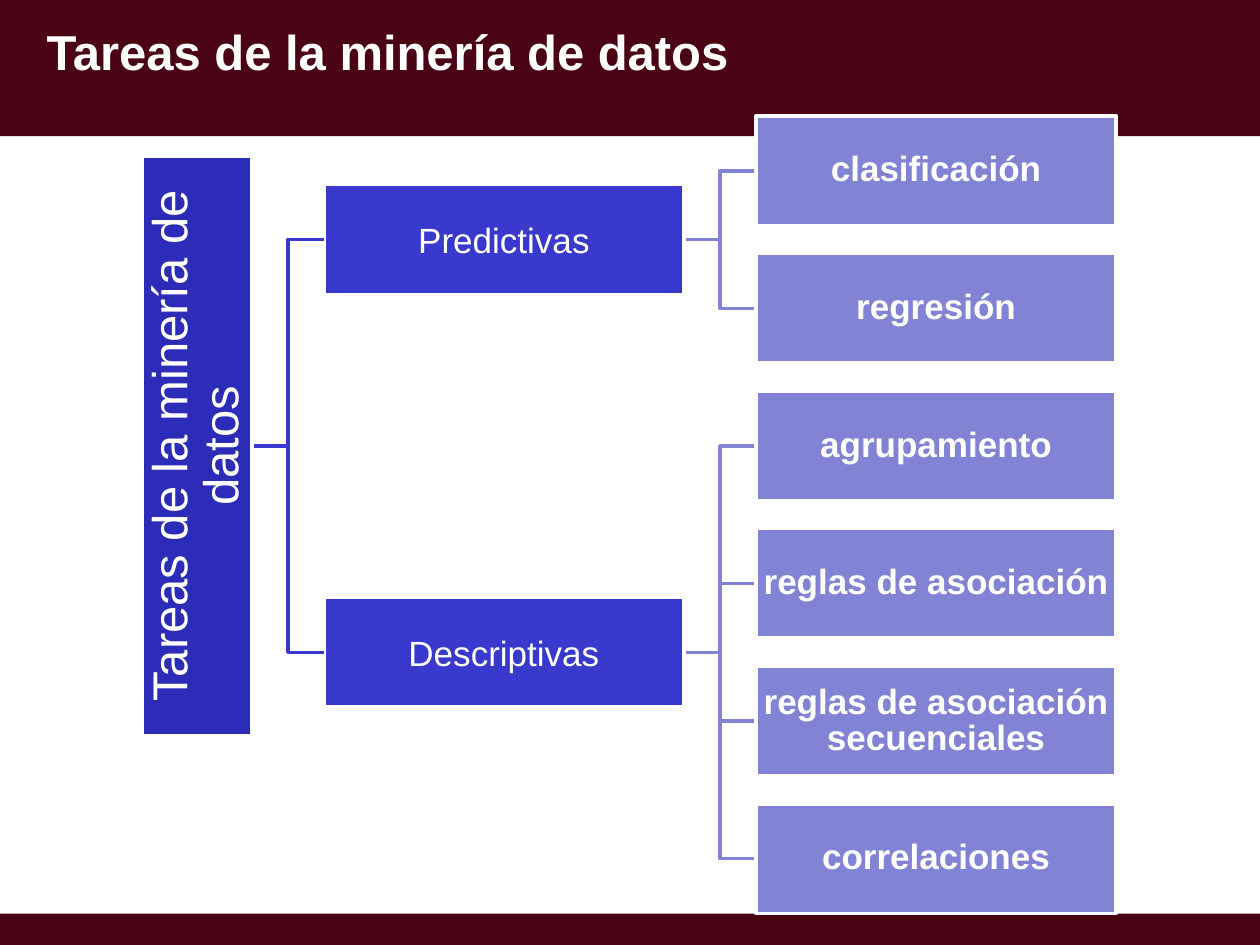
from dataclasses import dataclass

from pptx import Presentation
from pptx.dml.color import RGBColor
from pptx.enum import shapes, text
from pptx.util import Inches, Pt


@dataclass(frozen=True)
class Theme:
    font: str = "Arial"
    band: str = "4A0315"
    white: str = "FFFFFF"
    root: str = "2C2CB8"
    group: str = "3939CD"
    task: str = "8383D6"
    heading_size: int = 28
    label_size: int = 20
    line_width: int = 2


THEME = Theme()
TITLE = "Tareas de la minería de datos"
GROUPS = {
    "Predictivas": ["clasificación", "regresión"],
    "Descriptivas": [
        "agrupamiento",
        "reglas de asociación",
        "reglas de asociación secuenciales",
        "correlaciones",
    ],
}
BOX_HEIGHT, BOX_WIDTH, GAP = 0.87, 2.86, 0.57
ROOT_LENGTH = 4.6


def rgb(value):
    return RGBColor.from_string(value)


def write(frame, words, size, bold=False):
    frame.text = words
    frame.word_wrap = True
    frame.margin_left = frame.margin_right = 0
    frame.margin_top = frame.margin_bottom = 0
    font = frame.paragraphs[0].runs[0].font
    font.name, font.size, font.bold = THEME.font, Pt(size), bold
    font.color.rgb = rgb(THEME.white)


def add_header(slide, left, top, width, height):
    title = slide.shapes.title
    title.left, title.top = Inches(left), Inches(top)
    title.width, title.height = Inches(width), Inches(height)
    write(title.text_frame, TITLE, THEME.heading_size, bold=True)
    title.text_frame.vertical_anchor = text.MSO_ANCHOR.TOP
    title.text_frame.paragraphs[0].alignment = text.PP_ALIGN.LEFT


def add_rectangle(slide, left, top, width, height, color):
    rectangle = slide.shapes.add_shape(
        shapes.MSO_SHAPE.RECTANGLE,
        Inches(left), Inches(top), Inches(width), Inches(height))
    rectangle.shadow.inherit = False
    rectangle.fill.solid()
    rectangle.fill.fore_color.rgb = rgb(color)
    rectangle.line.fill.background()
    return rectangle


def add_band(slide, top, height):
    """Full-width band, kept behind the title."""
    band = add_rectangle(slide, 0, top, 10, height, THEME.band)
    slide.shapes._spTree.insert(2, band._element)


def add_node(slide, left, middle, width, height, color, words, size, bold=False):
    node = add_rectangle(slide, left, middle - height / 2, width, height, color)
    node.line.color.rgb = rgb(THEME.white)
    node.line.width = Pt(THEME.line_width)
    write(node.text_frame, words, size, bold)
    node.text_frame.vertical_anchor = text.MSO_ANCHOR.MIDDLE
    node.text_frame.paragraphs[0].alignment = text.PP_ALIGN.CENTER
    return node


def add_branch(slide, left, start, end, color):
    """Elbow line across one column gap, from height start to height end."""
    bend, right = left + GAP / 2, left + GAP
    builder = slide.shapes.build_freeform(Inches(left), Inches(start))
    builder.add_line_segments(
        [(Inches(x), Inches(y)) for x, y in ((bend, start), (bend, end), (right, end))],
        close=False)
    branch = builder.convert_to_shape()
    branch.shadow.inherit = False
    branch.fill.background()
    branch.line.color.rgb = rgb(color)
    branch.line.width = Pt(THEME.line_width)


def add_tree(slide, left, top, height):
    """Tasks are evenly spaced; each parent is centred on its children."""
    task_count = sum(len(tasks) for tasks in GROUPS.values())
    pitch = (height - BOX_HEIGHT) / (task_count - 1)
    group_left = left + BOX_HEIGHT + GAP
    task_left = group_left + BOX_WIDTH + GAP

    middle = top + BOX_HEIGHT / 2
    group_middles = []
    for group, tasks in GROUPS.items():
        task_middles = [middle + pitch * i for i in range(len(tasks))]
        group_middle = sum(task_middles) / len(tasks)
        for task, task_middle in zip(tasks, task_middles):
            add_branch(slide, task_left - GAP, group_middle, task_middle, THEME.task)
            node = add_node(slide, task_left, task_middle, BOX_WIDTH, BOX_HEIGHT,
                            THEME.task, task, THEME.label_size, bold=True)
            node.text_frame.paragraphs[0].line_spacing = Pt(20.8)
        add_node(slide, group_left, group_middle, BOX_WIDTH, BOX_HEIGHT,
                 THEME.group, group, THEME.label_size)
        group_middles.append(group_middle)
        middle = task_middles[-1] + pitch

    root_middle = sum(group_middles) / len(group_middles)
    for group_middle in group_middles:
        add_branch(slide, group_left - GAP, root_middle, group_middle, THEME.group)
    root = add_node(slide, left, root_middle, BOX_HEIGHT, ROOT_LENGTH,
                    THEME.root, TITLE, THEME.heading_size)
    root.text_frame._txBody.bodyPr.set("vert", "vert270")
    root.text_frame.paragraphs[0].line_spacing = Pt(29.1)


def main():
    deck = Presentation()
    deck.slide_width, deck.slide_height = Inches(10), Inches(7.5)
    slide = deck.slides.add_slide(deck.slide_layouts[5])
    add_band(slide, 0, 1.08)
    add_band(slide, 7.25, 0.25)
    add_header(slide, 0.37, 0.17, 5.48, 0.49)
    add_tree(slide, 1.13, 0.92, 6.33)
    deck.save("out.pptx")


if __name__ == "__main__":
    main()
